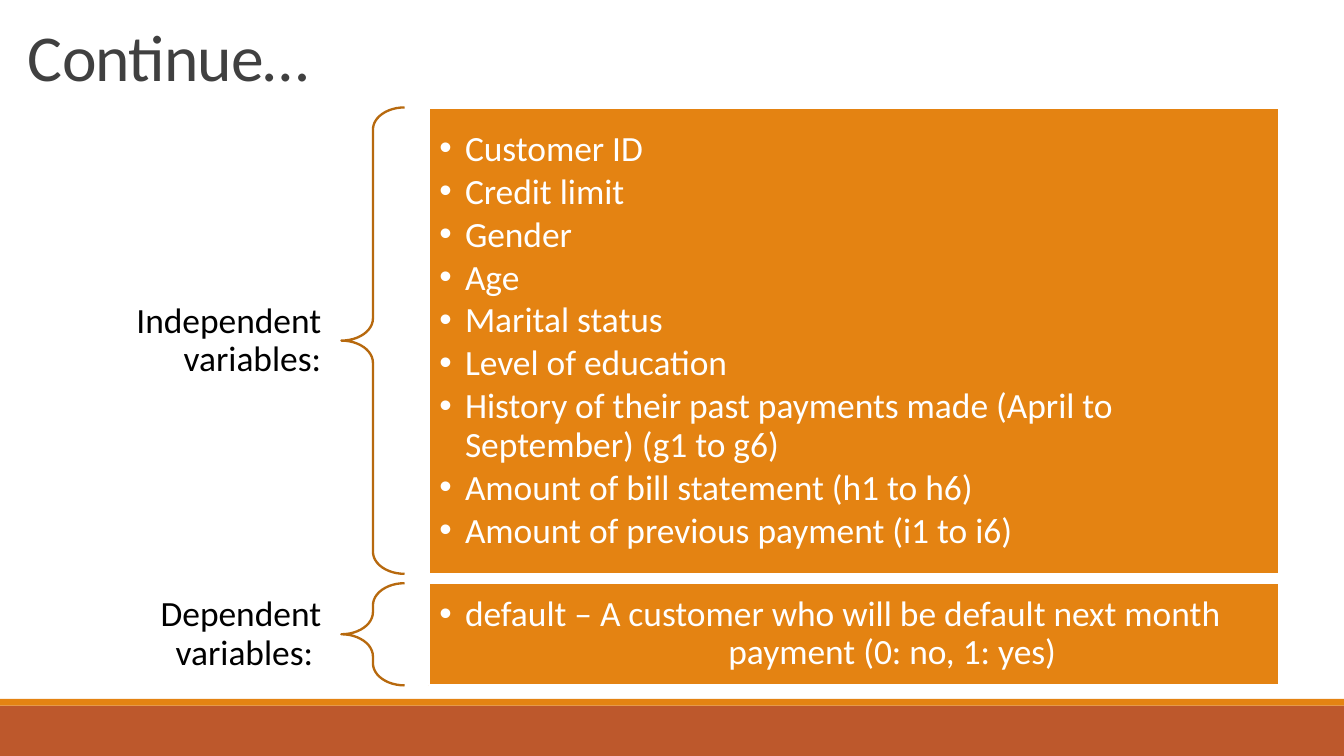
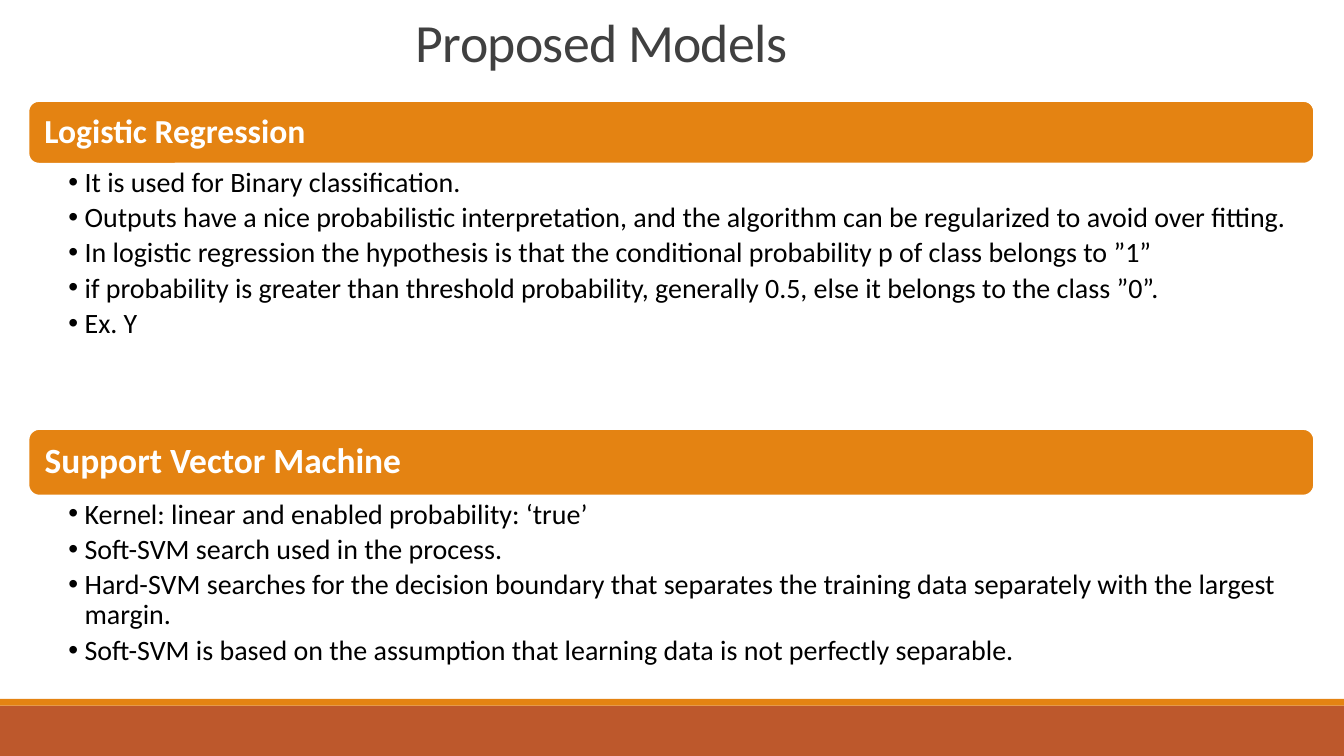
from dataclasses import dataclass

from lxml import etree
from pptx import Presentation
from pptx.dml.color import RGBColor
from pptx.enum.shapes import MSO_SHAPE
from pptx.enum.text import MSO_ANCHOR, PP_ALIGN
from pptx.oxml.ns import qn
from pptx.util import Inches, Pt

RECTANGLE = MSO_SHAPE.RECTANGLE
ROUNDED = MSO_SHAPE.ROUNDED_RECTANGLE
BRACE = MSO_SHAPE.LEFT_BRACE
TOP, MIDDLE, BOTTOM = MSO_ANCHOR.TOP, MSO_ANCHOR.MIDDLE, MSO_ANCHOR.BOTTOM
LEFT, CENTER, RIGHT = PP_ALIGN.LEFT, PP_ALIGN.CENTER, PP_ALIGN.RIGHT


@dataclass(frozen=True)
class Theme:
    font: str = "Calibri"
    orange: str = "E48312"
    rust: str = "BD582C"
    brown: str = "B7690E"
    gray: str = "404040"
    black: str = "000000"
    white: str = "FFFFFF"
    variable_size: float = 19
    body_size: float = 15
    line_width: float = 1.25
    line_spacing: float = 0.9
    title_tracking: int = -40


class Deck:
    def __init__(self, theme):
        self.theme = theme
        self.presentation = Presentation()
        self.presentation.slide_width = Inches(10)
        self.presentation.slide_height = Inches(5.625)
        self.slide = None

    def add_slide(self):
        layout = self.presentation.slide_layouts[6]
        self.slide = self.presentation.slides.add_slide(layout)
        self.shape(RECTANGLE, (0, 5.25, 10, 0.375), self.theme.rust)
        self.shape(RECTANGLE, (0, 5.2, 10, 0.05), self.theme.orange)

    def shape(self, kind, box, fill=None, line=None):
        shape = self.slide.shapes.add_shape(kind, *map(Inches, box))
        shape.shadow.inherit = False
        if fill:
            shape.fill.solid()
            shape.fill.fore_color.rgb = RGBColor.from_string(fill)
        else:
            shape.fill.background()
        if line:
            shape.line.color.rgb = RGBColor.from_string(line)
            shape.line.width = Pt(self.theme.line_width)
        else:
            shape.line.fill.background()
        return shape

    def text_box(self, box):
        return self.slide.shapes.add_textbox(*map(Inches, box))

    def frame(self, shape, insets, anchor):
        frame = shape.text_frame
        frame.word_wrap = True
        frame.vertical_anchor = anchor
        (frame.margin_left, frame.margin_top,
         frame.margin_right, frame.margin_bottom) = map(Inches, insets)
        return frame

    def text(self, paragraph, text, size, color, align=LEFT, spacing=None, bold=False):
        paragraph.alignment = align
        paragraph.line_spacing = spacing or self.theme.line_spacing
        run = paragraph.add_run()
        run.text = text
        run.font.name = self.theme.font
        run.font.size = Pt(size)
        run.font.bold = bold
        run.font.color.rgb = RGBColor.from_string(color)
        return run

    def indent(self, paragraph, left, hanging):
        properties = paragraph._p.get_or_add_pPr()
        properties.set("marL", str(Inches(left)))
        properties.set("indent", str(-Inches(hanging)))
        return properties

    def bullets(self, frame, items, size, color, indent, gap):
        for index, text in enumerate(items):
            paragraph = frame.add_paragraph() if index else frame.paragraphs[0]
            self.text(paragraph, text, size, color)
            if index < len(items) - 1:
                paragraph.space_after = Pt(gap)
            properties = self.indent(paragraph, indent, indent)
            etree.SubElement(properties, qn("a:buFont")).set("typeface", "Arial")
            etree.SubElement(properties, qn("a:buChar")).set("char", "•")

    def title(self, text, box, size, spacing, align=LEFT, anchor=TOP):
        frame = self.frame(self.text_box(box), (0.1, 0.05, 0.1, 0.05), anchor)
        run = self.text(frame.paragraphs[0], text, size, self.theme.gray, align, spacing)
        run._r.get_or_add_rPr().set("spc", str(self.theme.title_tracking))

    def variable_group(self, label, items, top, height, continuation=None):
        theme = self.theme
        label_height = 0.69
        label_top = top + (height - label_height) / 2
        label_box = self.text_box((0.21, label_top, 2.33, label_height))
        frame = self.frame(label_box, (0.15, 0.05, 0.15, 0.05), MIDDLE)
        self.text(frame.paragraphs[0], label, theme.variable_size, theme.black, RIGHT)

        brace = self.shape(BRACE, (2.54, top, 0.47, height), line=theme.brown)
        brace.adjustments[0] = 0.35
        brace.adjustments[1] = 0.5

        panel = self.shape(RECTANGLE, (3.19, top, 6.33, height), theme.orange, theme.white)
        frame = self.frame(panel, (0.08,) * 4, MIDDLE)
        self.bullets(frame, items, theme.variable_size, theme.white, 0.19, 2.5)
        if continuation:
            paragraph = frame.add_paragraph()
            self.text(paragraph, continuation, theme.variable_size, theme.white)
            self.indent(paragraph, 2.15, 0)

    def model_section(self, heading, size, items, top, bar_height, body_height):
        theme = self.theme
        bar = self.shape(ROUNDED, (0.21, top, 9.57, bar_height), theme.orange, theme.white)
        frame = self.frame(bar, (0.1, 0.07, 0.1, 0.07), MIDDLE)
        self.text(frame.paragraphs[0], heading, size, theme.white, bold=True)

        body = self.text_box((0.21, top + bar_height, 9.57, body_height))
        frame = self.frame(body, (0.3, 0.03, 0.15, 0.03), TOP)
        self.bullets(frame, items, theme.body_size, theme.black, 0.12, 2.7)


deck = Deck(Theme())

deck.add_slide()
deck.title("Continue…", (0.11, 0.16, 9.32, 0.63), 35.1, 0.85)
deck.variable_group("Independent variables:", [
    "Customer ID",
    "Credit limit",
    "Gender",
    "Age",
    "Marital status",
    "Level of education",
    "History of their past payments made (April to September) (g1 to g6)",
    "Amount of bill statement (h1 to h6)",
    "Amount of previous payment (i1 to i6)",
], 0.8, 3.47)
deck.variable_group("Dependent variables: ", [
    "default – A customer who will be default next month",
], 4.34, 0.76, "payment (0: no, 1: yes)")

deck.add_slide()
deck.title("Proposed Models", (0, 0.12, 8.95, 0.46), 28.8, 0.65, CENTER, BOTTOM)
deck.model_section("Logistic Regression", 18, [
    "It is used for Binary classification.",
    "Outputs have a nice probabilistic interpretation, and the algorithm "
    "can be regularized to avoid over fitting.",
    "In logistic regression the hypothesis is that the conditional "
    "probability p of class belongs to ”1”",
    "if probability is greater than threshold probability, generally 0.5, "
    "else it belongs to the class ”0”.",
    "Ex. Y",
], 0.75, 0.47, 1.72)
deck.model_section("Support Vector Machine", 19, [
    "Kernel: linear and enabled probability: ‘true’",
    "Soft-SVM search used in the process.",
    "Hard-SVM searches for the decision boundary that separates the "
    "training data separately with the largest margin.",
    "Soft-SVM is based on the assumption that learning data is not "
    "perfectly separable.",
], 3.19, 0.5, 1.35)

deck.presentation.save("out.pptx")
